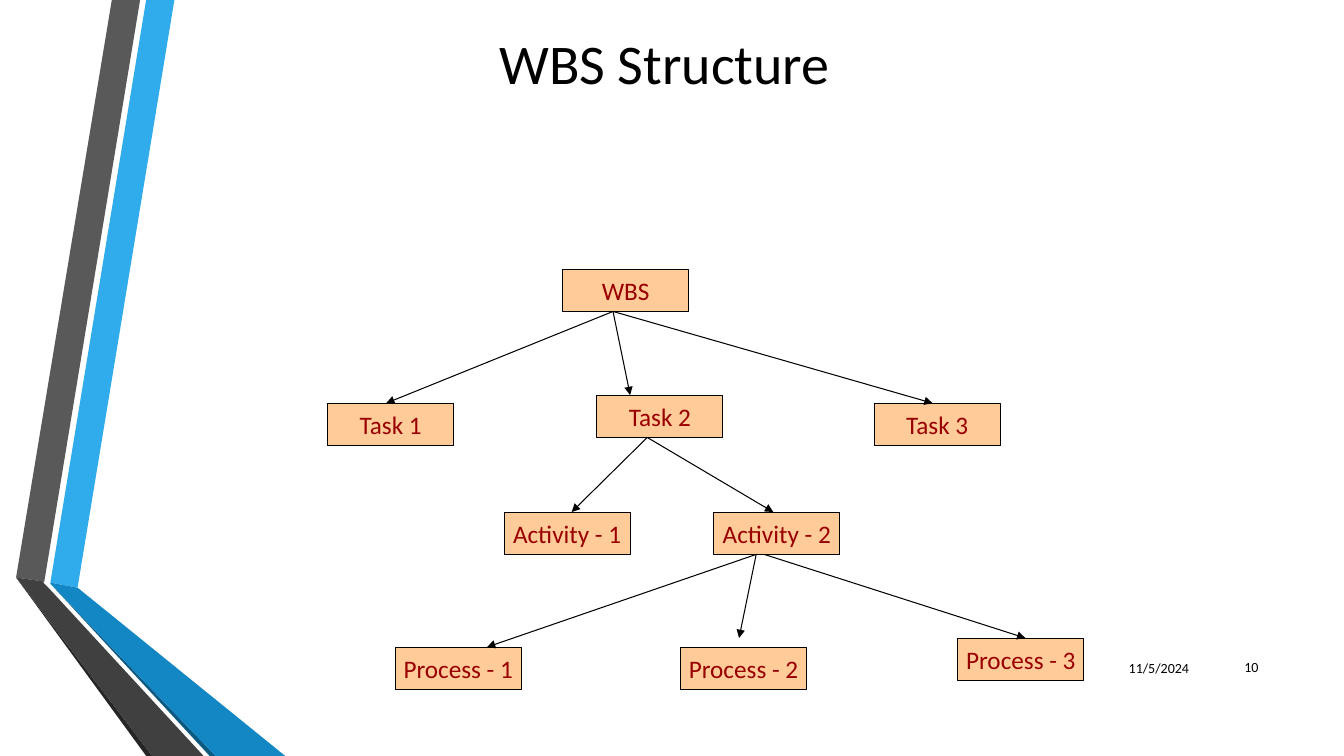
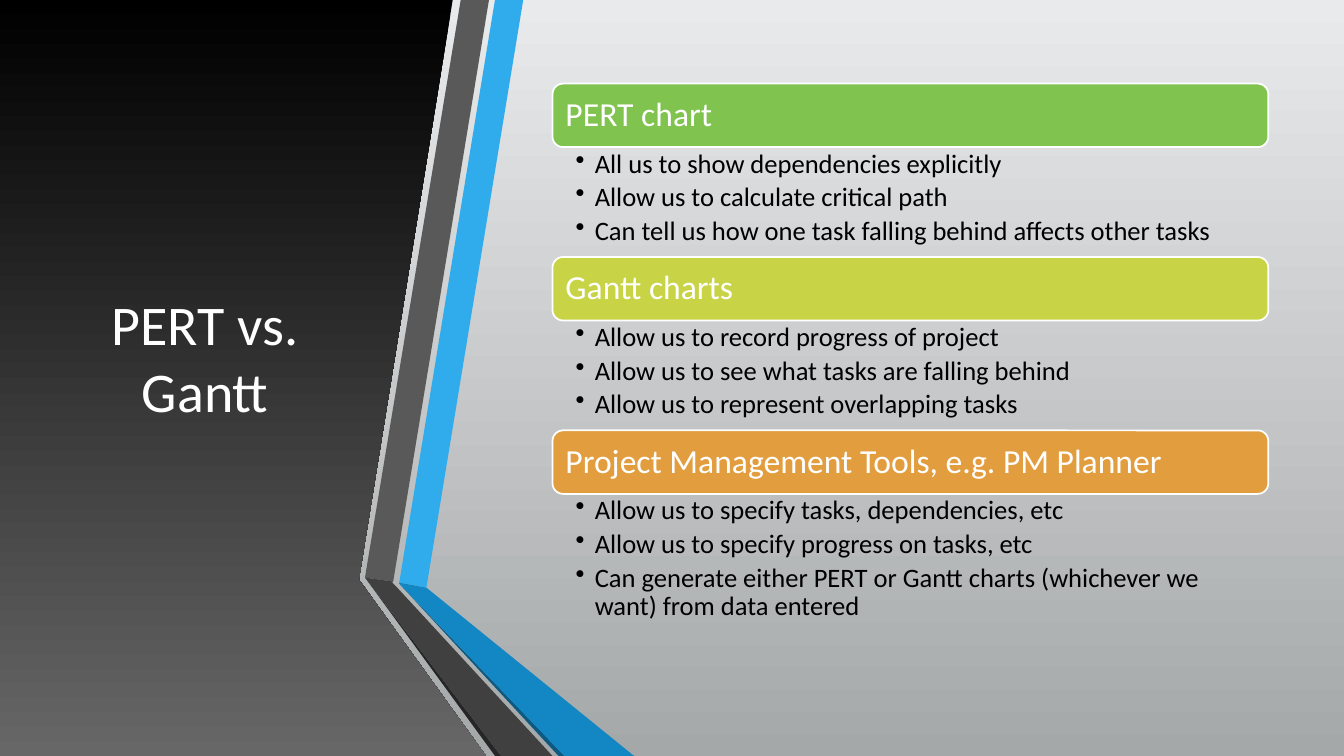
from lxml.etree import SubElement
from pptx import Presentation
from pptx.dml.color import RGBColor
from pptx.enum.shapes import MSO_CONNECTOR, MSO_SHAPE
from pptx.enum.text import MSO_ANCHOR, PP_ALIGN
from pptx.oxml.ns import qn
from pptx.util import Inches, Pt

FONT = "Calibri"
BLACK, WHITE = "000000", "FFFFFF"
BOX_FILL, BOX_TEXT = "FFCC99", "990000"
PAGE_GRADIENT = ("E9EAEB", "A5A8A9")
PANEL_GRADIENT = (BLACK, "676767")

# Folded ribbons at the left: colour and outline
RIBBONS = [
    ("30ACEC", [(0.5, 5.78), (0.77, 5.83), (1.73, 0), (1.45, 0)]),
    ("595959", [(1.39, 0), (1.11, 0), (0.16, 5.73), (0.44, 5.77)]),
    ("262626", [(0.16, 5.73), (1.45, 7.5), (1.51, 7.5)]),
    ("0C5A82", [(0.5, 5.79), (2.08, 7.5), (2.14, 7.5)]),
    ("1287C3", [(0.5, 5.79), (2.14, 7.5), (2.83, 7.5), (0.77, 5.83), (0.5, 5.78)]),
    ("404040", [(2.02, 7.5), (0.48, 5.83), (0.43, 5.78), (0.44, 5.77),
                (0.16, 5.73), (1.51, 7.5)]),
]
PANEL = [(0, 0), (4.49, 0), (3.56, 5.75), (4.82, 7.5), (0, 7.5)]
RIBBON_SHIFT = 3.46

# Work breakdown: label -> left, top
BOX_WIDTH, BOX_HEIGHT = 1.25, 0.42
NODES = {
    "WBS": (5.58, 2.67),
    "Task 1": (3.25, 4),
    "Task 2": (5.92, 3.92),
    "Task 3": (8.67, 4),
    "Activity - 1": (5, 5.08),
    "Activity - 2": (7.08, 5.08),
    "Process - 1": (3.92, 6.42),
    "Process - 2": (6.75, 6.42),
    "Process - 3": (9.5, 6.33),
}
# Parent, child, start x, end x, gap above the child
LINKS = [
    ("WBS", "Task 1", 6.08, 3.83, 0),
    ("WBS", "Task 2", 6.08, 6.25, 0),
    ("WBS", "Task 3", 6.08, 9.25, 0),
    ("Task 2", "Activity - 1", 6.42, 5.67, 0),
    ("Task 2", "Activity - 2", 6.42, 7.67, 0),
    ("Activity - 2", "Process - 1", 7.5, 4.83, 0),
    ("Activity - 2", "Process - 2", 7.5, 7.33, 0.09),
    ("Activity - 2", "Process - 3", 7.58, 10.17, 0),
]
FOOTERS = [("11/5/2024", (10.64, 6.43, 1.25, 0.4)), ("10", (11.98, 6.42, 0.6, 0.4))]

SECTIONS = [
    ("PERT chart", "80C34F", [
        "All us to show dependencies explicitly",
        "Allow us to calculate critical path",
        "Can tell us how one task falling behind affects other tasks",
    ]),
    ("Gantt charts", "C8D346", [
        "Allow us to record progress of project",
        "Allow us to see what tasks are falling behind",
        "Allow us to represent overlapping tasks",
    ]),
    ("Project Management Tools, e.g. PM Planner", "E29D3E", [
        "Allow us to specify tasks, dependencies, etc",
        "Allow us to specify progress on tasks, etc",
        "Can generate either PERT or Gantt charts (whichever we want) from data entered",
    ]),
]
SECTION_LEFT, SECTION_TOP, SECTION_WIDTH = 5.48, 0.83, 7.1
HEAD_HEIGHT, LINE_HEIGHT, BULLETS_HEIGHT = 0.63, 0.27, 1.09


def rgb(value):
    return RGBColor.from_string(value)


def inches(*lengths):
    return [Inches(length) for length in lengths]


def fill_solid(shape, color):
    shape.fill.solid()
    shape.fill.fore_color.rgb = rgb(color)


def fill_gradient(fill, colors):
    """Fill from the first colour at the top to the second at the bottom."""
    fill.gradient()
    fill.gradient_angle = 270
    for stop, color in zip(fill.gradient_stops, colors):
        stop.color.rgb = rgb(color)


def set_line(line, color, width):
    line.color.rgb = rgb(color)
    line.width = Pt(width)


def style_paragraph(para, size, color, align=PP_ALIGN.LEFT):
    para.alignment = align
    para.font.name = FONT
    para.font.size = Pt(size)
    para.font.color.rgb = rgb(color)


def write(shape, text, size, color, align, wrap=True):
    frame = shape.text_frame
    frame.word_wrap = wrap
    frame.vertical_anchor = MSO_ANCHOR.MIDDLE
    frame.text = text
    style_paragraph(frame.paragraphs[0], size, color, align)
    return frame


def add_text(page, text, place, size, color, align):
    write(page.shapes.add_textbox(*inches(*place)), text, size, color, align)


def add_title(page, text, place, color):
    add_text(page, text, place, 40, color, PP_ALIGN.CENTER)


def add_outline(page, points, shift=0):
    corners = [inches(x + shift, y) for x, y in points]
    builder = page.shapes.build_freeform(*corners[0])
    builder.add_line_segments(corners[1:], close=True)
    outline = builder.convert_to_shape()
    outline.shadow.inherit = False
    outline.line.fill.background()
    return outline


def add_ribbons(page, shift=0):
    for color, points in RIBBONS:
        fill_solid(add_outline(page, points, shift), color)


def add_box(page, preset, place, fill, line, line_width):
    box = page.shapes.add_shape(preset, *inches(*place))
    box.shadow.inherit = False
    fill_solid(box, fill)
    set_line(box.line, line, line_width)
    return box


def add_arrow(page, start, end):
    arrow = page.shapes.add_connector(MSO_CONNECTOR.STRAIGHT, *inches(*start, *end))
    set_line(arrow.line, BLACK, 0.75)
    properties = arrow._element.spPr
    SubElement(properties.find(qn("a:ln")), qn("a:tailEnd"), type="triangle")
    SubElement(properties, qn("a:effectLst"))


def add_bullets(page, items, place):
    frame = page.shapes.add_textbox(*inches(*place)).text_frame
    frame.word_wrap = True
    frame.margin_left, frame.margin_right = inches(0.23, 0.19)
    frame.margin_top = frame.margin_bottom = Inches(0.03)
    frame.text = "\n".join(items)
    for para in frame.paragraphs:
        style_paragraph(para, 19, BLACK)
        para.line_spacing = 0.9
        para.space_after = Pt(3.5)
        properties = para._p.get_or_add_pPr()
        properties.set("marL", str(Inches(0.19)))
        properties.set("indent", str(-Inches(0.19)))
        bullet = properties.makeelement(qn("a:buChar"), {"char": "•"})
        properties.insert_element_before(bullet, "a:tabLst", "a:defRPr", "a:extLst")


def build_structure(page):
    add_ribbons(page)
    add_title(page, "WBS Structure", (0.75, 0.16, 11.68, 0.92), BLACK)
    for text, place in FOOTERS:
        add_text(page, text, place, 10, BLACK, PP_ALIGN.RIGHT)
    for label, corner in NODES.items():
        box = add_box(page, MSO_SHAPE.RECTANGLE, (*corner, BOX_WIDTH, BOX_HEIGHT),
                      BOX_FILL, BLACK, 0.75)
        write(box, label, 18, BOX_TEXT, PP_ALIGN.CENTER, wrap=False)
    for parent, child, start_x, end_x, gap in LINKS:
        start_y = NODES[parent][1] + BOX_HEIGHT
        add_arrow(page, (start_x, start_y), (end_x, NODES[child][1] - gap))


def build_comparison(page):
    fill_gradient(page.background.fill, PAGE_GRADIENT)
    fill_gradient(add_outline(page, PANEL).fill, PANEL_GRADIENT)
    add_title(page, "PERT vs. Gantt", (0.59, 0.75, 2.89, 5.58), WHITE)
    add_ribbons(page, RIBBON_SHIFT)
    top = SECTION_TOP
    for heading, color, items in SECTIONS:
        head = add_box(page, MSO_SHAPE.ROUNDED_RECTANGLE,
                       (SECTION_LEFT, top, SECTION_WIDTH, HEAD_HEIGHT), color, WHITE, 1.25)
        frame = write(head, heading, 24, WHITE, PP_ALIGN.LEFT)
        frame.margin_left = frame.margin_right = Inches(0.1)
        frame.paragraphs[0].line_spacing = 0.9
        top += HEAD_HEIGHT
        height = BULLETS_HEIGHT + (LINE_HEIGHT if len(items[-1]) > 60 else 0)
        add_bullets(page, items, (SECTION_LEFT, top, SECTION_WIDTH, height))
        top += height


def main():
    deck = Presentation()
    deck.slide_width, deck.slide_height = inches(13.33, 7.5)
    blank = deck.slide_layouts[6]
    for build in (build_structure, build_comparison):
        build(deck.slides.add_slide(blank))
    deck.save("out.pptx")


if __name__ == "__main__":
    main()
